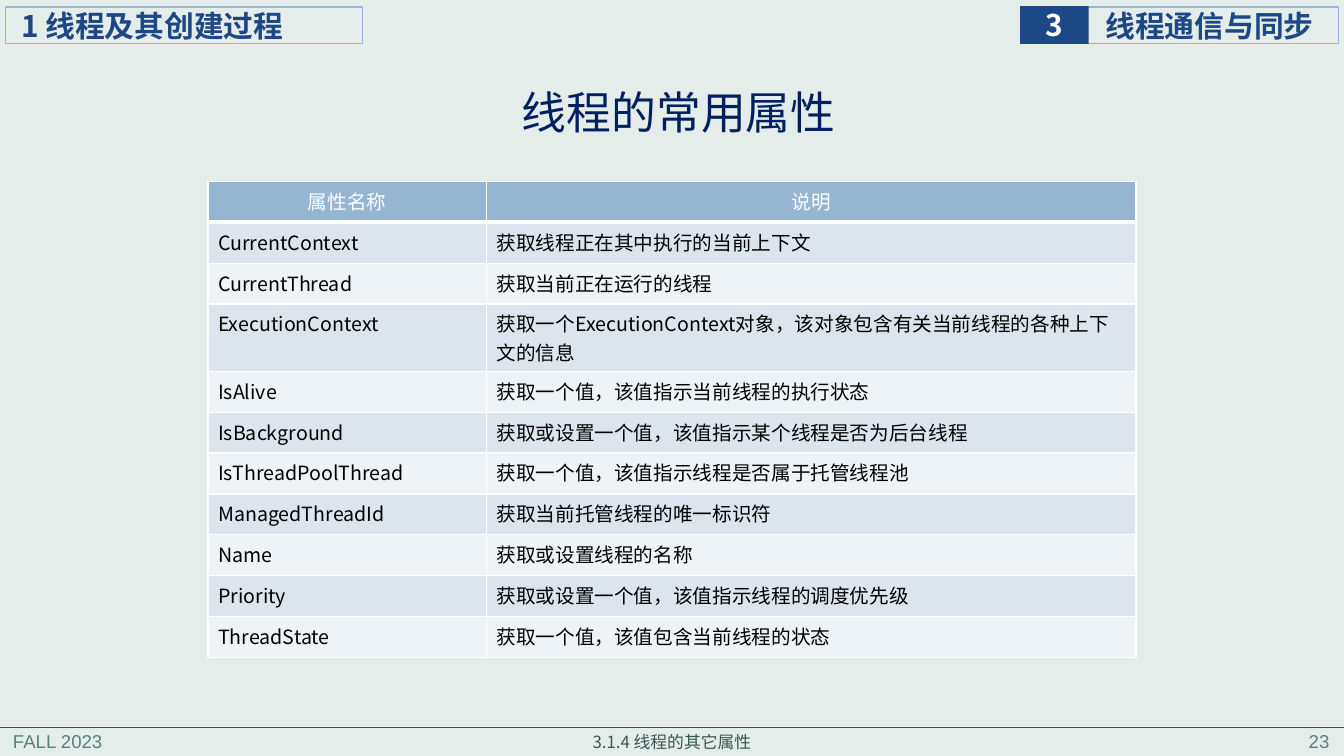
from lxml.etree import SubElement
from pptx import Presentation
from pptx.dml.color import RGBColor
from pptx.enum.shapes import MSO_CONNECTOR, MSO_SHAPE
from pptx.enum.text import MSO_ANCHOR, PP_ALIGN
from pptx.oxml.ns import qn
from pptx.util import Pt

WHITE = RGBColor(0xFF, 0xFF, 0xFF)
BLACK = RGBColor(0, 0, 0)
BACKGROUND = RGBColor(0xE5, 0xED, 0xEB)
BLUE = RGBColor(0x1C, 0x48, 0x85)
LIGHT_BLUE = RGBColor(0x94, 0xB6, 0xD2)
NAVY = RGBColor(0x00, 0x20, 0x60)
GREEN = RGBColor(0x57, 0x82, 0x79)
DARK_GREEN = RGBColor(0x3A, 0x57, 0x50)
BROWN = RGBColor(0x7B, 0x3D, 0x17)
BANDS = [RGBColor(0xDC, 0xE5, 0xEE), RGBColor(0xEE, 0xF3, 0xF7)]

CJK = "Noto Sans CJK SC"
LEFT, CENTER, RIGHT = PP_ALIGN.LEFT, PP_ALIGN.CENTER, PP_ALIGN.RIGHT

TITLE = "线程的常用属性"
HEADER = ("属性名称", "说明")
PROPERTIES = [
    ("CurrentContext", "获取线程正在其中执行的当前上下文"),
    ("CurrentThread", "获取当前正在运行的线程"),
    ("ExecutionContext", "获取一个ExecutionContext对象，该对象包含有关当前线程的各种上下文的信息"),
    ("IsAlive", "获取一个值，该值指示当前线程的执行状态"),
    ("IsBackground", "获取或设置一个值，该值指示某个线程是否为后台线程"),
    ("IsThreadPoolThread", "获取一个值，该值指示线程是否属于托管线程池"),
    ("ManagedThreadId", "获取当前托管线程的唯一标识符"),
    ("Name", "获取或设置线程的名称"),
    ("Priority", "获取或设置一个值，该值指示线程的调度优先级"),
    ("ThreadState", "获取一个值，该值包含当前线程的状态"),
]
# text, (left, top, width, height), left inset, text colour, fill, line, alignment
TABS = [
    ("线程通信与同步", (776.2, 5, 180, 26), 13.4, BLUE, None, LIGHT_BLUE, LEFT),
    ("3", (728.6, 4.4, 49, 27), 0, WHITE, BLUE, None, CENTER),
    ("1 线程及其创建过程", (3.6, 5, 255.6, 26), 11.5, BLUE, None, LIGHT_BLUE, LEFT),
]
# text, (left, top, width, height), size, font, colour, alignment
FOOTERS = [
    ("FALL 2023", (2.2, 517.7, 200, 22.3), 13.3, "Arial", GREEN, LEFT),
    ("23", (756.7, 517.7, 200, 22.3), 13.3, "Arial", GREEN, RIGHT),
    ("3.1.4 线程的其它属性", (120, 519, 720, 21.6), 12, CJK, DARK_GREEN, CENTER),
]
TABLE_LEFT, TABLE_TOP = 148.6, 129.6
COLUMN_WIDTHS = (198.9, 464)
ROW_HEIGHT = 29.2


def points(box):
    return [Pt(v) for v in box]


def write(tf, text, size, font, color, align, bold=False):
    p = tf.paragraphs[0]
    p.alignment = align
    r = p.add_run()
    r.text = text
    r.font.size = Pt(size)
    r.font.bold = bold
    r.font.color.rgb = color
    r.font.name = font
    SubElement(r.font._element, qn("a:ea"), typeface=font)


def set_borders(cell, bottom):
    """Draw white cell borders; must run before the cell is filled."""
    tcPr = cell._tc.get_or_add_tcPr()
    for side, width in (("L", 1), ("R", 1), ("T", 1), ("B", bottom)):
        ln = SubElement(tcPr, qn("a:ln" + side), w=str(Pt(width)))
        fill = SubElement(ln, qn("a:solidFill"))
        SubElement(fill, qn("a:srgbClr"), val=str(WHITE))


def add_tab(s, text, box, inset, color, fill, line, align):
    sp = s.shapes.add_shape(MSO_SHAPE.RECTANGLE, *points(box))
    sp.shadow.inherit = False
    if fill is None:
        sp.fill.background()
    else:
        sp.fill.solid()
        sp.fill.fore_color.rgb = fill
    if line is None:
        sp.line.fill.background()
    else:
        sp.line.color.rgb = line
        sp.line.width = Pt(0.75)
    tf = sp.text_frame
    tf.margin_left = Pt(inset)
    tf.margin_top = tf.margin_right = tf.margin_bottom = 0
    tf.vertical_anchor = MSO_ANCHOR.MIDDLE
    write(tf, text, 21.3, CJK, color, align, bold=True)


def add_table(s):
    rows = [HEADER] + PROPERTIES
    frame = s.shapes.add_table(len(rows), len(HEADER), Pt(TABLE_LEFT), Pt(TABLE_TOP),
                               Pt(sum(COLUMN_WIDTHS)), Pt(ROW_HEIGHT * len(rows)))
    table = frame.table
    for column, width in zip(table.columns, COLUMN_WIDTHS):
        column.width = Pt(width)
    for i, row in enumerate(rows):
        table.rows[i].height = Pt(ROW_HEIGHT)
        is_header = i == 0
        for j, text in enumerate(row):
            cell = table.cell(i, j)
            set_borders(cell, 3 if is_header else 1)
            cell.fill.solid()
            cell.fill.fore_color.rgb = LIGHT_BLUE if is_header else BANDS[(i - 1) % 2]
            write(cell.text_frame, text, 14, CJK, WHITE if is_header else BLACK,
                  CENTER if is_header else LEFT)


def main():
    prs = Presentation()
    prs.slide_width, prs.slide_height = Pt(960), Pt(540)
    s = prs.slides.add_slide(prs.slide_layouts[5])
    s.background.fill.solid()
    s.background.fill.fore_color.rgb = BACKGROUND

    for tab in TABS:
        add_tab(s, *tab)

    rule = s.shapes.add_connector(MSO_CONNECTOR.STRAIGHT, *points((-2, 519.2, 960, 519.2)))
    rule.line.color.rgb = BROWN
    rule.line.width = Pt(0.5)
    SubElement(rule._element.spPr, qn("a:effectLst"))

    title = s.shapes.title
    title.left, title.top, title.width, title.height = points((280, 54.7, 409.7, 54.7))
    title.text_frame.vertical_anchor = MSO_ANCHOR.MIDDLE
    write(title.text_frame, TITLE, 32, CJK, NAVY, CENTER)
    title.text_frame.paragraphs[0].line_spacing = 0.9

    add_table(s)

    for text, box, size, font, color, align in FOOTERS:
        tf = s.shapes.add_textbox(*points(box)).text_frame
        tf.word_wrap = True
        write(tf, text, size, font, color, align)

    prs.save("out.pptx")


if __name__ == "__main__":
    main()
